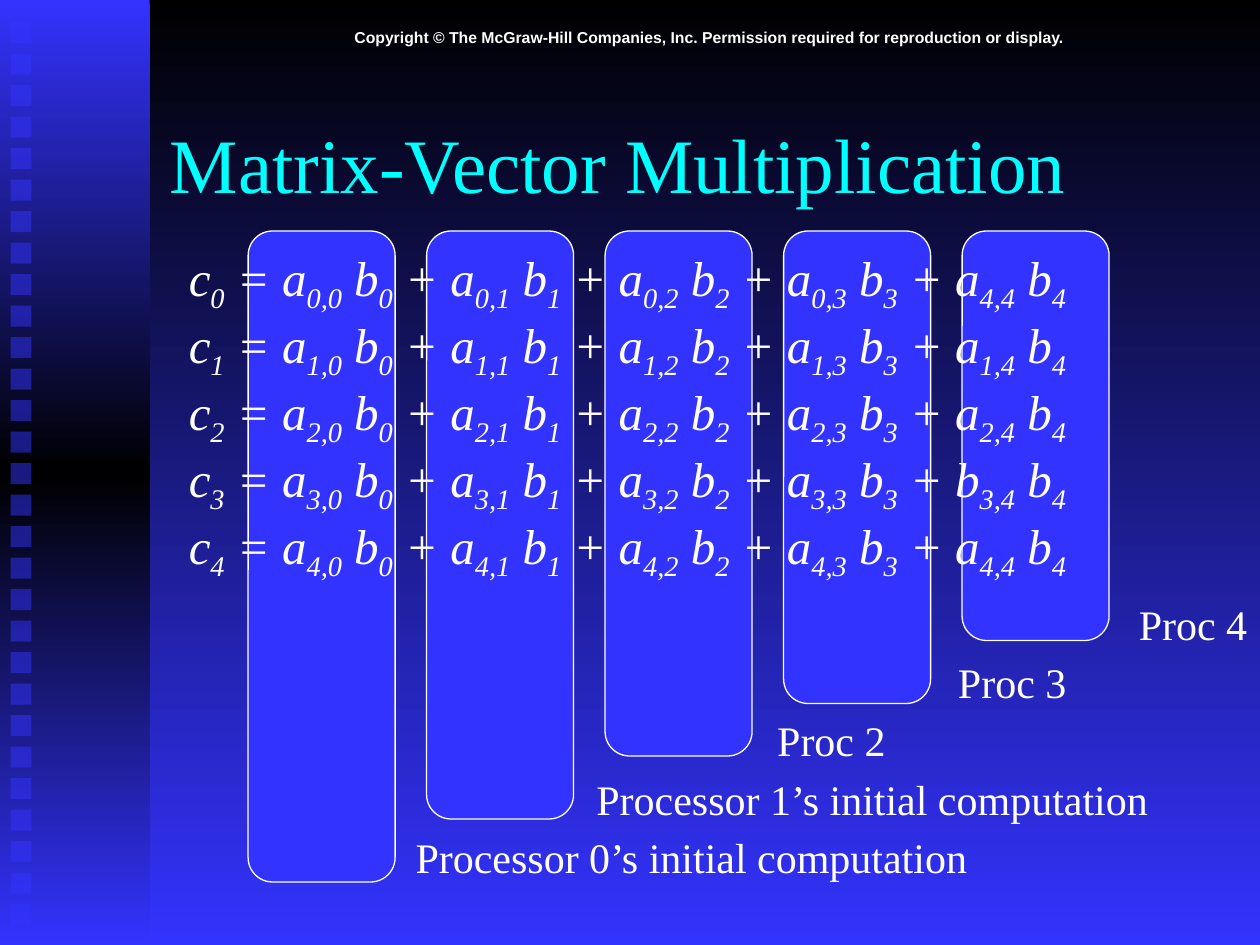
from copy import deepcopy
from dataclasses import dataclass

from lxml.etree import SubElement
from pptx import Presentation
from pptx.dml.color import RGBColor
from pptx.dml.fill import FillFormat
from pptx.enum.shapes import MSO_SHAPE
from pptx.enum.text import MSO_ANCHOR, PP_ALIGN
from pptx.oxml.ns import qn
from pptx.shapes.autoshape import Shape
from pptx.slide import Slide
from pptx.text.text import _Paragraph
from pptx.util import Emu, Inches, Pt

BLUE = RGBColor(0x33, 0x33, 0xFF)
BLACK = RGBColor(0, 0, 0)
WHITE = RGBColor(0xFF, 0xFF, 0xFF)
CYAN = RGBColor(0, 0xFF, 0xFF)
SERIF, SANS = "Times New Roman", "Arial"
SLIDE_WIDTH, SLIDE_HEIGHT = Inches(10), Inches(7.5)
COLUMNS = 120
CELL = SLIDE_WIDTH / COLUMNS
ROWS = SLIDE_HEIGHT / CELL
SIZE = 5


@dataclass(frozen=True)
class Area:
    """A rectangle in grid columns and rows."""

    column: float
    row: float
    width: float
    height: float

    def emu(self) -> list[Emu]:
        """Return left, top, width and height as slide lengths."""
        return [Emu(round(n * CELL)) for n in (self.column, self.row, self.width, self.height)]


@dataclass(frozen=True)
class Processor:
    """One matrix column and the processor that owns it."""

    label: str
    rows: float
    label_width: float


@dataclass(frozen=True)
class Style:
    """The look of a text."""

    size: float
    color: RGBColor = WHITE
    face: str = SERIF
    bold: bool = False
    italic: bool = False


PROCESSORS = [
    Processor("Processor 0’s initial computation", 62, 55.2),
    Processor("Processor 1’s initial computation", 56, 55.2),
    Processor("Proc 2", 50, 12.72),
    Processor("Proc 3", 45, 12.72),
    Processor("Proc 4", 39, 12.72),
]
PRINTED_TERMS = {(0, 4): ("a", "4,4"), (3, 4): ("b", "3,4")}


def fade(fill: FillFormat, colors: list[RGBColor]) -> None:
    """Colour the stops of a gradient running from top to bottom."""
    fill.gradient_angle = 270
    for index, (stop, color) in enumerate(zip(fill.gradient_stops, colors)):
        stop.color.rgb = color
        stop.position = index / (len(colors) - 1)


def add_block(slide: Slide, kind: MSO_SHAPE, area: Area) -> Shape:
    """Add a plain blue shape without outline or shadow."""
    block = slide.shapes.add_shape(kind, *area.emu())
    block.shadow.inherit = False
    block.fill.solid()
    block.fill.fore_color.rgb = BLUE
    block.line.fill.background()
    return block


def add_text(slide: Slide, area: Area, text: str, style: Style, wrap: bool = False) -> Shape:
    """Add a text box in one style."""
    box = slide.shapes.add_textbox(*area.emu())
    box.text_frame.word_wrap = wrap
    box.text_frame.text = text
    for paragraph in box.text_frame.paragraphs:
        format_runs(paragraph, style)
    return box


def format_runs(paragraph: _Paragraph, style: Style) -> None:
    """Apply a style to every run of a paragraph."""
    for run in paragraph.runs:
        run.font.size = Pt(style.size)
        run.font.name = style.face
        run.font.bold = style.bold
        run.font.italic = style.italic
        run.font.color.rgb = style.color


def add_symbol(paragraph: _Paragraph, symbol: str, subscript: str) -> None:
    """Append a symbol followed by its subscript."""
    paragraph.add_run().text = symbol
    index = paragraph.add_run()
    index.text = subscript
    index._r.get_or_add_rPr().set("baseline", "-25000")


def add_sidebar(slide: Slide) -> None:
    """Add the faded band with its column of translucent squares."""
    band = add_block(slide, MSO_SHAPE.RECTANGLE, Area(0, 0, 14.25, ROWS))
    band.fill.gradient()
    stops = band._element.spPr.find(".//" + qn("a:gsLst"))
    stops.insert(1, deepcopy(stops[0]))
    fade(band.fill, [BLUE, BLACK, BLUE])
    for step in range(29):
        square = add_block(slide, MSO_SHAPE.RECTANGLE, Area(1, 2.1 + 3 * step, 2, 2))
        color = square._element.spPr.find(".//" + qn("a:srgbClr"))
        SubElement(color, qn("a:alpha")).set("val", "50000")


def add_processor(slide: Slide, number: int, processor: Processor) -> None:
    """Add the panel behind a matrix column and its label."""
    panel = add_block(
        slide, MSO_SHAPE.ROUNDED_RECTANGLE, Area(23.63 + 17 * number, 22, 14, processor.rows)
    )
    panel.line.color.rgb = WHITE
    panel.line.width = Pt(0.75)
    label_area = Area(38.4 + 17.22 * number, 78.6 - 5.55 * number, processor.label_width, 6)
    add_text(slide, label_area, processor.label, Style(24))


def add_equations(slide: Slide) -> None:
    """Add one equation per row of the matrix."""
    frame = add_text(slide, Area(16.8, 23, 85.92, 33.12), "", Style(28)).text_frame
    for row in range(SIZE):
        equation = frame.add_paragraph() if row else frame.paragraphs[0]
        add_symbol(equation, "c", f"{row}")
        for column in range(SIZE):
            factor, index = PRINTED_TERMS.get((row, column), ("a", f"{row},{column}"))
            add_symbol(equation, f" {'+' if column else '='} {factor}", index)
            add_symbol(equation, " b", f"{column}")
        format_runs(equation, Style(28, italic=True))


def main() -> None:
    """Build the matrix-vector multiplication slide."""
    presentation = Presentation()
    presentation.slide_width, presentation.slide_height = SLIDE_WIDTH, SLIDE_HEIGHT
    slide = presentation.slides.add_slide(presentation.slide_layouts[6])
    slide.background.fill.gradient()
    fade(slide.background.fill, [BLACK, BLUE])
    add_sidebar(slide)
    notice = add_text(
        slide,
        Area(15, 2, 105, 3),
        "Copyright © The McGraw-Hill Companies, Inc. "
        "Permission required for reproduction or display.",
        Style(9, face=SANS, bold=True),
        wrap=True,
    )
    notice.text_frame.vertical_anchor = MSO_ANCHOR.MIDDLE
    notice.text_frame.paragraphs[0].alignment = PP_ALIGN.CENTER
    for number, processor in enumerate(PROCESSORS):
        add_processor(slide, number, processor)
    title = add_text(
        slide, Area(15, 8, 102, 15), "Matrix-Vector Multiplication", Style(44, CYAN), wrap=True
    )
    title.text_frame.vertical_anchor = MSO_ANCHOR.MIDDLE
    add_equations(slide)
    presentation.save("out.pptx")


if __name__ == "__main__":
    main()
